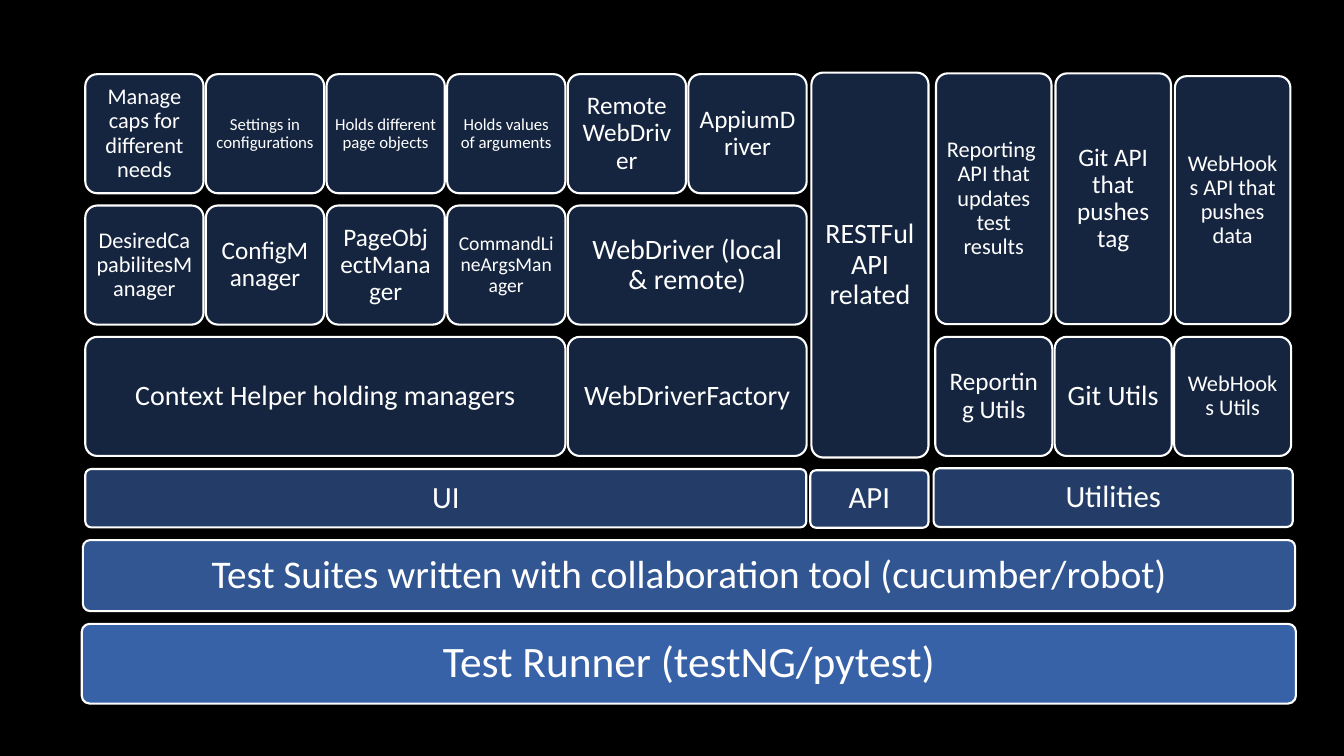
from lxml.etree import SubElement
from pptx import Presentation
from pptx.dml.color import RGBColor
from pptx.enum.shapes import MSO_SHAPE as Shape
from pptx.enum.text import MSO_ANCHOR as Anchor, PP_ALIGN as Align
from pptx.oxml.ns import qn
from pptx.util import Cm, Pt

THEME = {
    "font": "Calibri",
    "background": RGBColor(0x00, 0x00, 0x00),
    "block": RGBColor(0x47, 0x7B, 0xD1),
    "light": RGBColor(0xFF, 0xFF, 0xFF),
    "opacity": {"runner": 80, "suites": 70, "area": 50, "part": 30},
    "size": {"runner": 31, "suites": 28, "area": 22, "large": 20,
             "medium": 18, "small": 16, "smaller": 14, "tiny": 12},
}

deck = Presentation()
deck.slide_width, deck.slide_height = Cm(33.87), Cm(19.05)
page = deck.slides.add_slide(deck.slide_layouts[6])
page.background.fill.solid()
page.background.fill.fore_color.rgb = THEME["background"]


def add_block(text, layer, size_name, left, top, width, height):
    """Draw one rounded block of the stack; lengths are in centimetres."""
    size = THEME["size"][size_name]
    box = page.shapes.add_shape(Shape.ROUNDED_RECTANGLE, Cm(left), Cm(top), Cm(width), Cm(height))
    box.adjustments[0] = 0.1
    box.shadow.inherit = False
    box.fill.solid()
    box.fill.fore_color.rgb = THEME["block"]
    color = box.fill._xPr.find(qn("a:solidFill"))[0]
    SubElement(color, qn("a:alpha"), val=str(THEME["opacity"][layer] * 1000))
    box.line.color.rgb = THEME["light"]
    box.line.width = Pt(1.5)

    frame = box.text_frame
    inset = int(0.3 * Pt(size))
    frame_format = {"word_wrap": True, "vertical_anchor": Anchor.MIDDLE}
    frame_format |= {f"margin_{side}": inset for side in ("left", "top", "right", "bottom")}
    for name, value in frame_format.items():
        setattr(frame, name, value)
    para = frame.paragraphs[0]
    para.alignment, para.line_spacing = Align.CENTER, 0.9
    span = para.add_run()
    span.text = text
    for name, value in {"name": THEME["font"], "size": Pt(size)}.items():
        setattr(span.font, name, value)
    span.font.color.rgb = THEME["light"]


# Base layers and area headings
for block in [
    ("Test Runner (testNG/pytest)", "runner", "runner", 2.06, 15.72, 30.6, 2.01),
    ("Test Suites written with collaboration tool (cucumber/robot)", "suites", "suites",
     2.09, 13.61, 30.55, 1.79),
    ("UI", "area", "area", 2.15, 11.82, 18.17, 1.47),
    ("API", "area", "area", 20.42, 11.85, 2.98, 1.45),
    ("Utilities", "area", "area", 23.53, 11.8, 9.05, 1.48),
    ("RESTFul API related", "part", "large", 20.45, 1.83, 2.95, 9.7),
]:
    add_block(*block)

# UI grid: each row lists text, size and number of columns covered
UI_LEFT, UI_TOP, COLUMN, ROW, GAP, PART_HEIGHT = 2.15, 1.87, 3.04, 3.31, 0.06, 3.0
UI_ROWS = [
    [("Manage caps for different needs", "small", 1),
     ("Settings in configurations", "tiny", 1),
     ("Holds different page objects", "tiny", 1),
     ("Holds values of arguments", "tiny", 1),
     ("RemoteWebDriver", "medium", 1),
     ("AppiumDriver", "medium", 1)],
    [("DesiredCapabilitesManager", "small", 1),
     ("ConfigManager", "medium", 1),
     ("PageObjectManager", "medium", 1),
     ("CommandLineArgsManager", "smaller", 1),
     ("WebDriver (local & remote)", "large", 2)],
    [("Context Helper holding managers", "large", 4),
     ("WebDriverFactory", "large", 2)],
]
for row, parts in enumerate(UI_ROWS):
    column = 0
    for text, size_name, columns in parts:
        add_block(text, "part", size_name, UI_LEFT + column * COLUMN, UI_TOP + row * ROW,
                  columns * COLUMN - GAP, PART_HEIGHT)
        column += columns

# Utilities: a tall description above each utility
UTILITY_LEFT, UTILITY_TOP, UTILITY_COLUMN, TALL_BOTTOM = 23.57, 8.49, 3.01, 8.17
UTILITIES = [
    ("Reporting Utils", "medium", "Reporting  API that updates test results", "small", 1.85),
    ("Git Utils", "large", "Git API that pushes tag", "medium", 1.85),
    ("WebHooks Utils", "small", "WebHooks API that pushes data", "small", 1.92),
]
for column, (utility, utility_size, purpose, purpose_size, top) in enumerate(UTILITIES):
    left = UTILITY_LEFT + column * UTILITY_COLUMN
    add_block(utility, "part", utility_size, left, UTILITY_TOP, 2.95, PART_HEIGHT)
    add_block(purpose, "part", purpose_size, left + 0.02, top, 2.91, TALL_BOTTOM - top)

deck.save("out.pptx")
